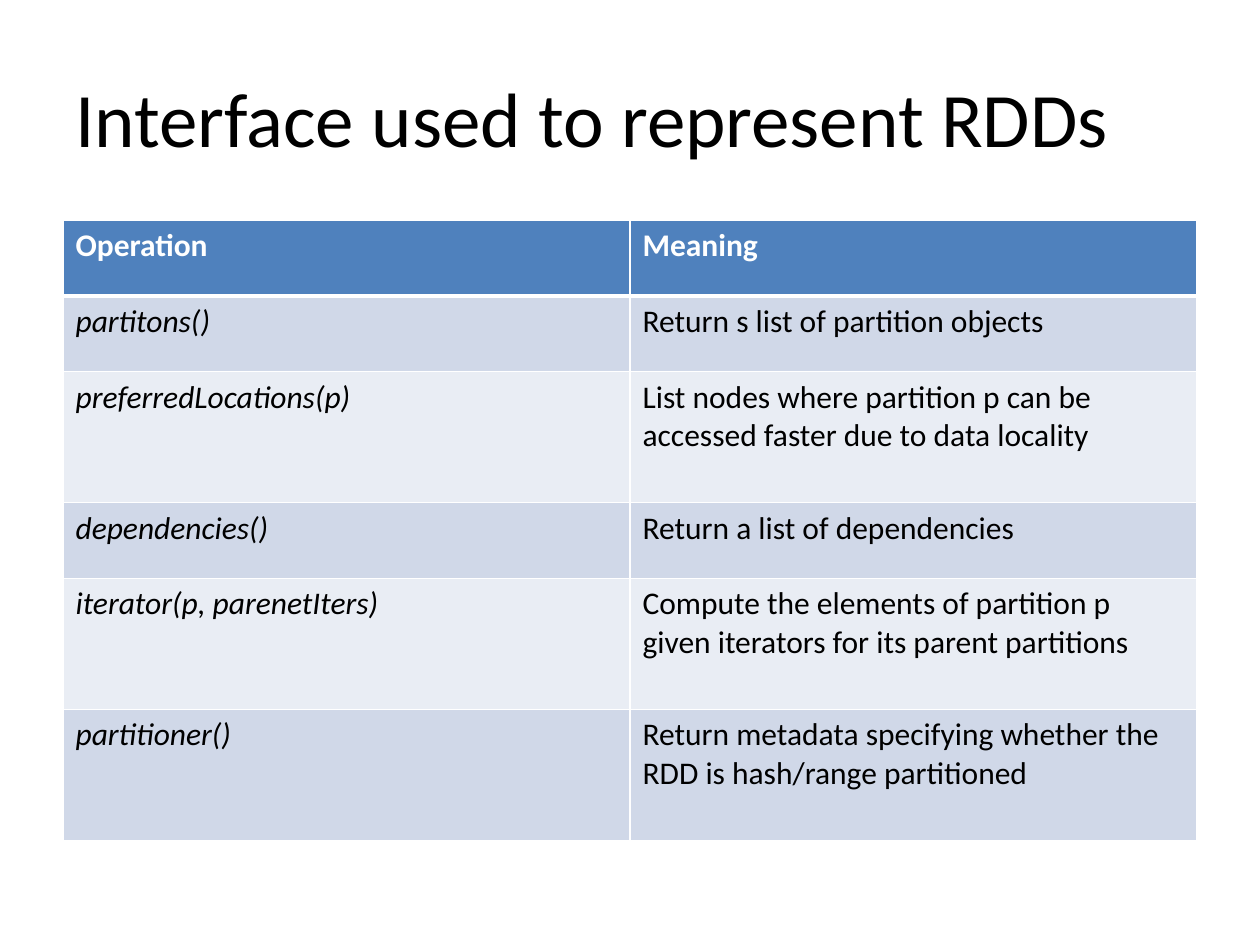
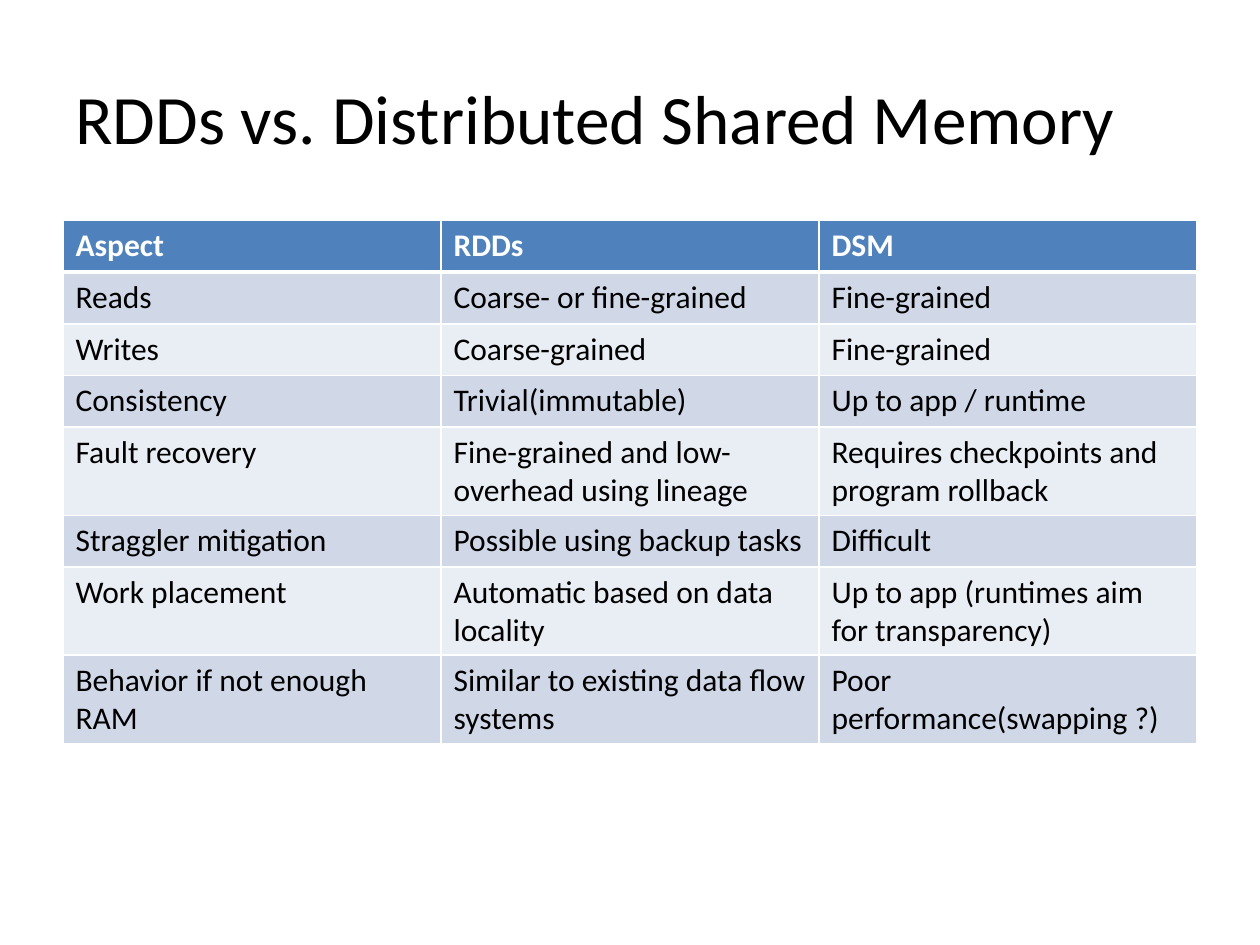
import pptx
import pptx.util
import pptx.dml.color
import pptx.enum.text
import pptx.oxml.ns
import lxml.etree

Inches, Pt = pptx.util.Inches, pptx.util.Pt
RGB = pptx.dml.color.RGBColor

# Shared look
FONT = "Calibri"
BLACK = RGB(0x00, 0x00, 0x00)
WHITE = RGB(0xFF, 0xFF, 0xFF)
BLUE = RGB(0x4F, 0x81, 0xBD)
BANDS = [RGB(0xE9, 0xED, 0xF4), RGB(0xD0, 0xD8, 0xE8)]

# Page grid
WIDE, HIGH = Inches(10), Inches(7.5)
LEFT, SPAN = 0.05 * WIDE, 0.9 * WIDE
TITLE_TOP, TITLE_HIGH = 0.04 * HIGH, HIGH / 6
TABLE_TOP = 1.75 / 7.5 * HIGH

OPS = [
    ("Operation", "Meaning"),
    ("partitons()", "Return s list of partition objects"),
    ("preferredLocations(p)",
     "List nodes where partition p can be accessed faster due to data locality"),
    ("dependencies()", "Return a list of dependencies"),
    ("iterator(p, parenetIters)",
     "Compute the elements of partition p given iterators for its parent partitions"),
    ("partitioner()",
     "Return metadata specifying whether the RDD is hash/range partitioned"),
]
OPS_ROWS = [0.6, 0.6, 1.04, 0.6, 1.04, 1.04]

ASPECTS = [
    ("Aspect", "RDDs", "DSM"),
    ("Reads", "Coarse- or fine-grained", "Fine-grained"),
    ("Writes", "Coarse-grained", "Fine-grained"),
    ("Consistency", "Trivial(immutable)", "Up to app / runtime"),
    ("Fault recovery", "Fine-grained and low-overhead using lineage",
     "Requires checkpoints and program rollback"),
    ("Straggler mitigation", "Possible using backup tasks", "Difficult"),
    ("Work placement", "Automatic based on data locality",
     "Up to app (runtimes aim for transparency)"),
    ("Behavior if not enough RAM", "Similar to existing data flow systems",
     "Poor performance(swapping ?)"),
]
ASPECT_ROWS = [0.41] * len(ASPECTS)


def style(frame, size, color, bold=False, italic=False):
    for para in frame.paragraphs:
        for run in para.runs:
            font = run.font
            font.name, font.size = FONT, Pt(size)
            font.bold, font.italic = bold, italic
            font.color.rgb = color


def add_title(slide, text, size):
    box = slide.shapes.add_textbox(
        int(LEFT), int(TITLE_TOP), int(SPAN), int(TITLE_HIGH))
    frame = box.text_frame
    frame.word_wrap = True
    frame.vertical_anchor = pptx.enum.text.MSO_ANCHOR.MIDDLE
    frame.text = text
    style(frame, size, BLACK)


def add_edges(cell, row):
    """White cell borders, with a thick rule under the header."""
    props = cell._tc.get_or_add_tcPr()
    widths = {"L": 1, "R": 1, "T": 3 if row == 1 else 1, "B": 1 if row else 3}
    for place, (side, width) in enumerate(widths.items()):
        line = lxml.etree.Element(
            pptx.oxml.ns.qn("a:ln" + side), w=str(Pt(width)))
        fill = lxml.etree.SubElement(line, pptx.oxml.ns.qn("a:solidFill"))
        lxml.etree.SubElement(
            fill, pptx.oxml.ns.qn("a:srgbClr"), val=str(WHITE))
        props.insert(place, line)


def add_table(slide, rows, heights, slant=False):
    """Banded table; slant sets the first column's body in italics."""
    count = len(rows[0])
    table = slide.shapes.add_table(
        len(rows), count, int(LEFT), int(TABLE_TOP),
        int(SPAN), Inches(sum(heights))).table
    for col in table.columns:
        col.width = int(SPAN / count)
    for r, (texts, height) in enumerate(zip(rows, heights)):
        table.rows[r].height = Inches(height)
        head = r == 0
        for c, text in enumerate(texts):
            cell = table.cell(r, c)
            cell.text_frame.text = text
            style(cell.text_frame, 18, WHITE if head else BLACK,
                  bold=head, italic=slant and c == 0 and not head)
            cell.fill.solid()
            cell.fill.fore_color.rgb = BLUE if head else BANDS[r % 2]
            add_edges(cell, r)


def main():
    deck = pptx.Presentation()
    deck.slide_width, deck.slide_height = WIDE, HIGH
    blank = deck.slide_layouts[6]

    # RDD interface
    slide = deck.slides.add_slide(blank)
    add_title(slide, "Interface used to represent RDDs", 44)
    add_table(slide, OPS, OPS_ROWS, slant=True)

    # Comparison with shared memory
    slide = deck.slides.add_slide(blank)
    add_title(slide, "RDDs vs. Distributed Shared Memory", 39.6)
    add_table(slide, ASPECTS, ASPECT_ROWS)

    deck.save("out.pptx")


if __name__ == "__main__":
    main()
